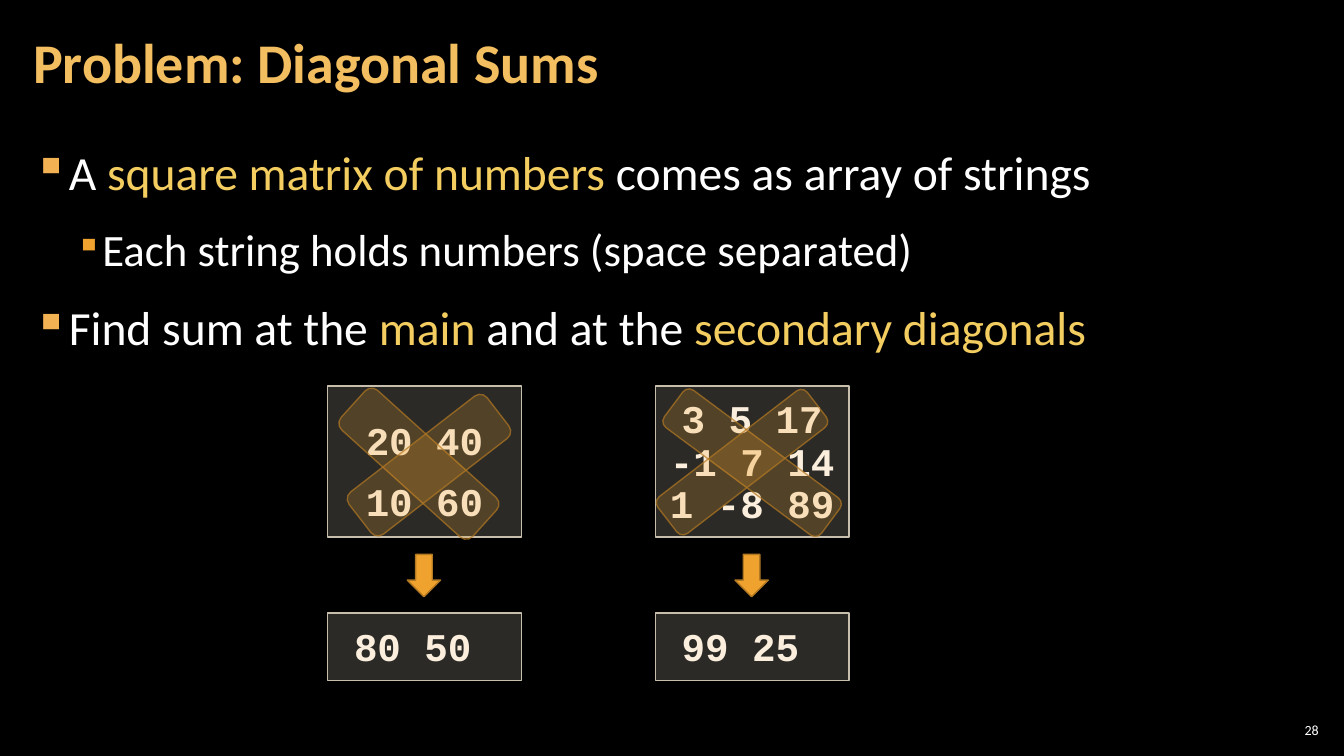
from dataclasses import dataclass

from lxml import etree
from pptx import Presentation, util as u
from pptx.dml.color import RGBColor
from pptx.enum import shapes, text
from pptx.oxml.ns import qn

KIND = shapes.MSO_SHAPE
ALIGN = text.PP_ALIGN
MID = text.MSO_ANCHOR.MIDDLE


@dataclass(frozen=True)
class Theme:
    back: str = "000000"
    white: str = "FFFFFF"
    title: str = "F3BE60"
    key: str = "F3CD60"
    amber: str = "F0A22E"
    brown: str = "B27822"
    dot: str = "F2B254"
    box: str = "D9D5C7"
    edge: str = "C7BFAC"
    code: str = "FBEEDC"
    sans: str = "Calibri"
    mono: str = "Courier New"
    head: int = 40
    body: int = 34
    sub: int = 32
    cell: int = 28
    note: int = 10


@dataclass(frozen=True)
class Area:
    left: float
    top: float
    width: float
    height: float


@dataclass(frozen=True)
class Band:
    """A diagonal marker; its left is measured from the matrix box."""
    area: Area
    turn: float


@dataclass(frozen=True)
class Case:
    left: float
    rows: tuple[str, ...]
    pitch: float
    sums: str
    bands: tuple[Band, ...]


@dataclass(frozen=True)
class Point:
    runs: tuple[tuple[str, str], ...]
    size: int
    level: int
    indent: float
    hang: float
    dot: str
    scale: int


T = Theme()
POINTS = (
    Point((("A ", T.white), ("square matrix of numbers", T.key),
           (" comes as array of strings", T.white)),
          T.body, 0, 0.33, 0.33, T.dot, 100),
    Point((("Each string holds numbers (space separated)", T.white),),
          T.sub, 1, 0.67, 0.25, T.amber, 80),
    Point((("Find sum at the ", T.white), ("main", T.key),
           (" and at the ", T.white), ("secondary diagonals", T.key)),
          T.body, 0, 0.33, 0.33, T.dot, 100),
)
CASES = (
    Case(3.25, ("20 40", "10 60"), 1.3, "80 50 ",
         (Band(Area(0.64, 3.72, 0.53, 1.76), 312.1),
          Band(Area(0.74, 3.75, 0.53, 1.73), 52.3))),
    Case(6.5, ("3 5 17", "-1 7 14", "1 -8 89"), 0.9, "99 25 ",
         (Band(Area(0.73, 3.62, 0.46, 1.94), 306.6),
          Band(Area(0.63, 3.65, 0.46, 1.87), 52.4))),
)


def place(area: Area) -> tuple:
    return tuple(u.Inches(v) for v in
                 (area.left, area.top, area.width, area.height))


def fade(fill, share: int) -> None:
    """Set the opacity, in percent, of a solid fill."""
    tone = fill._xPr.find(".//" + qn("a:srgbClr"))
    etree.SubElement(tone, qn("a:alpha"), val=str(share * 1000))


def write(para, words: str, *, size: int, color: str,
          font: str = T.sans, bold: bool = False) -> None:
    run = para.add_run()
    run.text = words
    face = run.font
    face.name, face.size, face.bold = font, u.Pt(size), bold
    face.color.rgb = RGBColor.from_string(color)


def frame(shape, pads: tuple[float, ...], anchor=MID):
    body = shape.text_frame
    body.word_wrap = True
    body.vertical_anchor = anchor
    (body.margin_left, body.margin_top,
     body.margin_right, body.margin_bottom) = map(u.Inches, pads)
    return body


def label(slide, area: Area, pad: float, anchor=MID):
    box = slide.shapes.add_textbox(*place(area))
    return frame(box, (pad, 0.04, pad, 0.04), anchor)


def draw(slide, kind, area: Area, fill: str, line: str,
         clear: int = 100, edge: int = 100):
    """Add a shape; clear and edge are fill and line opacity in percent."""
    shape = slide.shapes.add_shape(kind, *place(area))
    shape.shadow.inherit = False
    shape.fill.solid()
    shape.fill.fore_color.rgb = RGBColor.from_string(fill)
    shape.line.width = u.Pt(1)
    shape.line.color.rgb = RGBColor.from_string(line)
    if clear < 100:
        fade(shape.fill, clear)
    if edge < 100:
        fade(shape.line.fill, edge)
    return shape


def panel(slide, area: Area, rows: tuple[str, ...], pitch: float) -> None:
    shape = draw(slide, KIND.RECTANGLE, area, T.box, T.edge, clear=20)
    body = frame(shape, (0.1, 0.08, 0.1, 0.04))
    for i, row in enumerate(rows):
        para = body.add_paragraph() if i else body.paragraphs[0]
        para.alignment = ALIGN.CENTER
        para.line_spacing = pitch
        write(para, row, size=T.cell, color=T.code, font=T.mono, bold=True)


def bullet(para, point: Point) -> None:
    props = para._p.get_or_add_pPr()
    props.set("marL", str(u.Inches(point.indent)))
    props.set("indent", str(-u.Inches(point.hang)))
    tint = etree.SubElement(props, qn("a:buClr"))
    etree.SubElement(tint, qn("a:srgbClr"), val=point.dot)
    etree.SubElement(props, qn("a:buSzPct"), val=str(point.scale * 1000))
    etree.SubElement(props, qn("a:buChar"), char="▪")


def outline(slide) -> None:
    body = label(slide, Area(0.21, 1.32, 12.91, 6.01), 0.12,
                 text.MSO_ANCHOR.TOP)
    for i, point in enumerate(POINTS):
        para = body.add_paragraph() if i else body.paragraphs[0]
        para.level = point.level
        bullet(para, point)
        para.line_spacing = 1.1
        para.space_before = u.Pt(6 if i else 0)
        para.space_after = u.Pt(6)
        for words, color in point.runs:
            write(para, words, size=point.size, color=color)


def sample(slide, case: Case) -> None:
    """Draw a matrix, its sums, the arrow between and the diagonals."""
    panel(slide, Area(case.left, 3.83, 1.92, 1.5), case.rows, case.pitch)
    panel(slide, Area(case.left, 6.08, 1.92, 0.67), (case.sums,), 0.9)
    draw(slide, KIND.DOWN_ARROW, Area(case.left + 0.79, 5.5, 0.33, 0.42),
         T.amber, T.brown)
    for band in case.bands:
        spot = band.area
        area = Area(case.left + spot.left, spot.top, spot.width, spot.height)
        mark = draw(slide, KIND.ROUNDED_RECTANGLE, area, T.amber, T.brown,
                    clear=20, edge=70)
        mark.rotation = band.turn


def main() -> None:
    deck = Presentation()
    deck.slide_width, deck.slide_height = u.Inches(13.33), u.Inches(7.5)
    slide = deck.slides.add_slide(deck.slide_layouts[6])
    slide.background.fill.solid()
    slide.background.fill.fore_color.rgb = RGBColor.from_string(T.back)

    page = label(slide, Area(12.65, 7.14, 0.47, 0.21), 0.04).paragraphs[0]
    page.alignment = ALIGN.RIGHT
    write(page, "28", size=T.note, color=T.white)
    outline(slide)
    head = label(slide, Area(0.21, 0.04, 10.47, 1.21), 0.12).paragraphs[0]
    head.line_spacing = 0.9
    write(head, "Problem: Diagonal Sums", size=T.head, color=T.title,
          bold=True)
    for case in CASES:
        sample(slide, case)
    deck.save("out.pptx")


if __name__ == "__main__":
    main()
